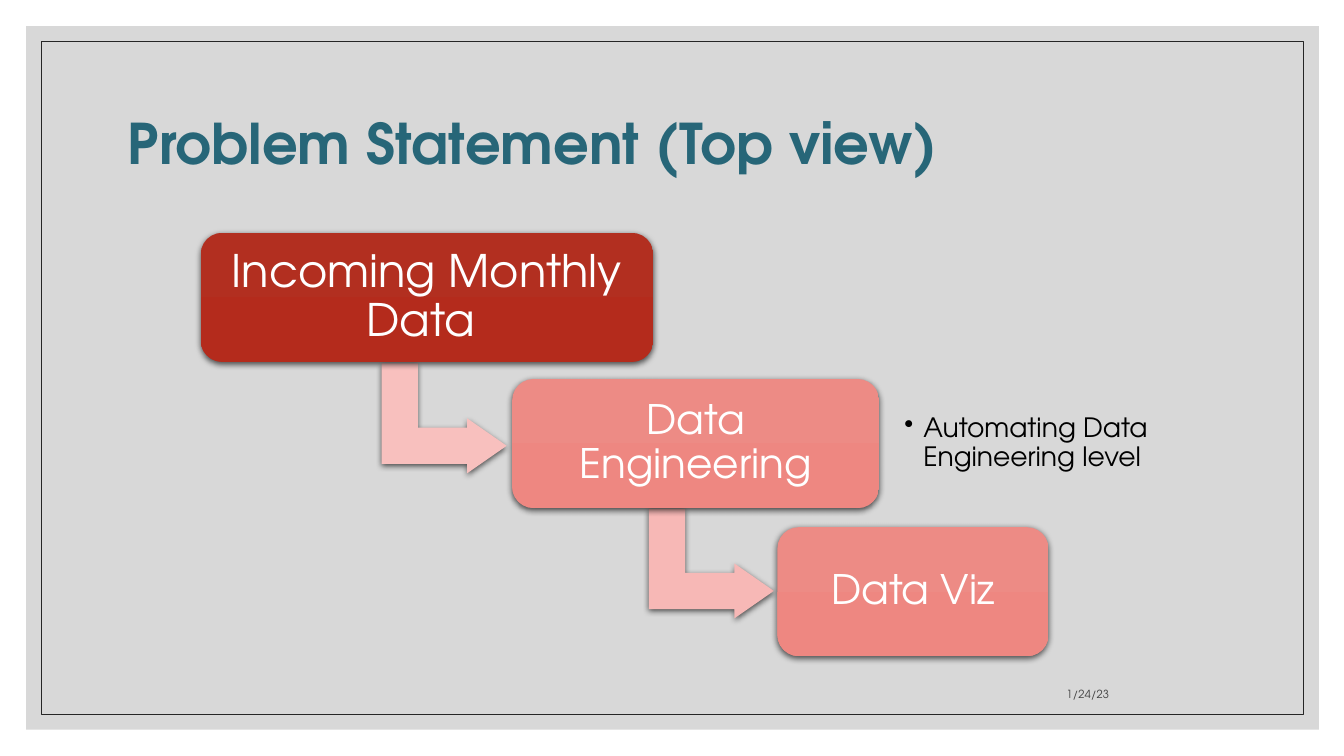
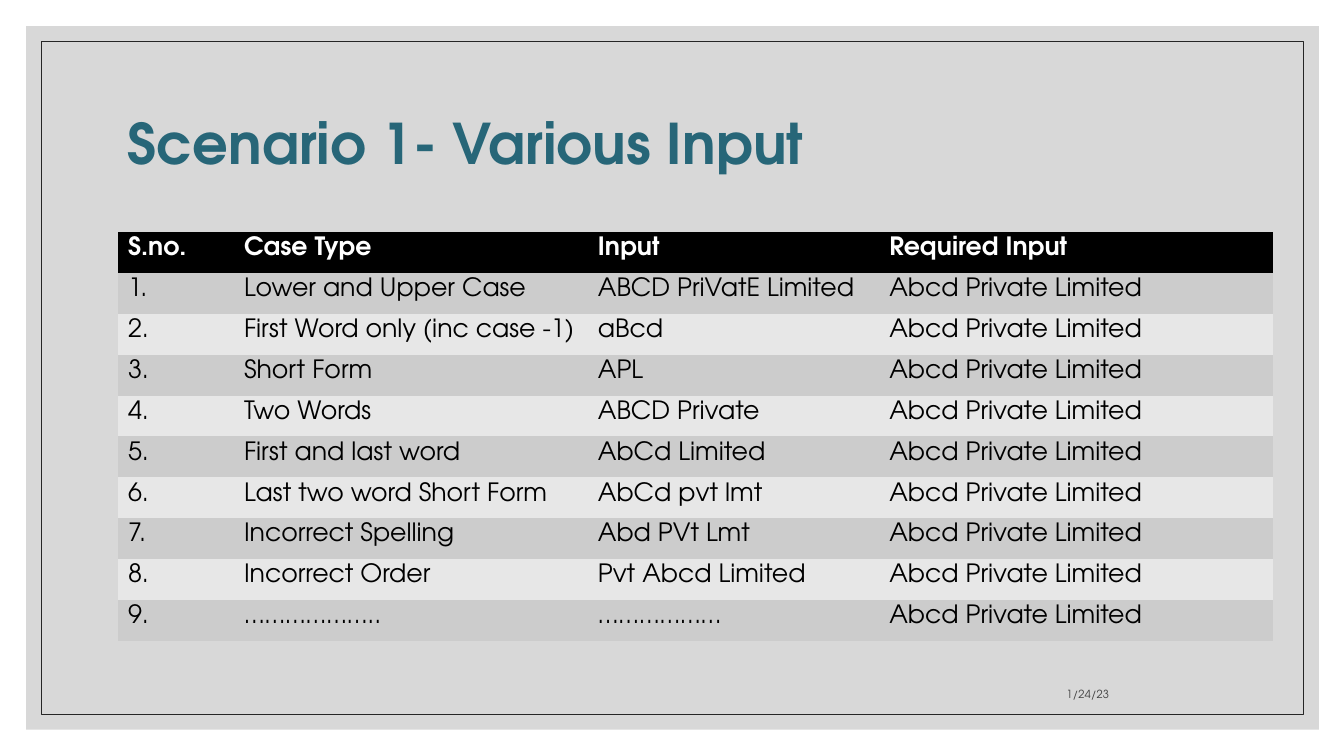
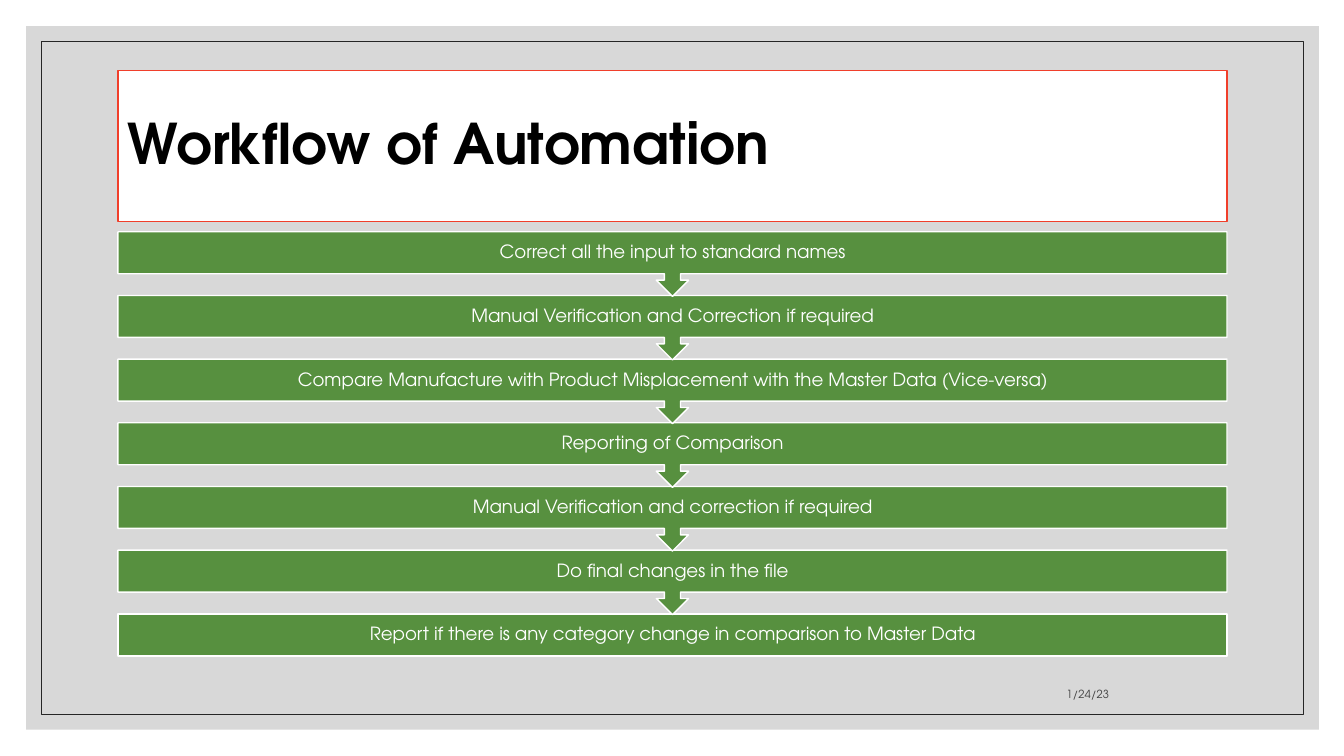
"""Build a three-slide deck about automating the cleaning of monthly data."""
from lxml.etree import SubElement
from pptx import Presentation
from pptx.dml.color import RGBColor
from pptx.enum.shapes import MSO_SHAPE as Shape
from pptx.enum.text import MSO_ANCHOR as Anchor, PP_ALIGN as Align
from pptx.oxml.ns import qn
from pptx.util import Inches, Pt

COLORS = {
    "band": "BFBFBF", "frame": "262626", "title": "276678", "date": "404040",
    "white": "FFFFFF", "black": "000000", "accent": "F03F2B", "step": "57903F",
    "red_top": "B22F20", "red": "B42B1C", "pink_top": "ED8B85", "pink": "EE8781",
    "first_arrow": "F8C0BE", "second_arrow": "F7B8B6",
    "odd_row": "CCCCCC", "even_row": "E7E7E7",
}
FONT = "TeX Gyre Adventor"
PLAIN_TABLE_STYLE = "{2D5ABB26-0587-4C30-8999-92F81FD0307C}"
LEFT, WIDTH, BODY_TOP = 1.17, 11, 2.3
TITLE_BOX = (LEFT, 0.7, WIDTH, 1.5)


def color(name):
    return RGBColor.from_string(COLORS[name])


def apply(target, values):
    for name, value in values.items():
        setattr(target, name, value)


class Deck:
    def __init__(self):
        self.presentation = Presentation()
        apply(self.presentation,
              {"slide_width": Inches(13.33), "slide_height": Inches(7.5)})
        self.slide = None

    def new_slide(self, title, title_color="title", boxed=False):
        layout = self.presentation.slide_layouts[6]
        self.slide = self.presentation.slides.add_slide(layout)
        band = self.shape(Shape.RECTANGLE, (0.26, 0.26, 12.82, 6.98), "band")
        tint = next(band.element.iter(qn("a:srgbClr")))
        SubElement(tint, qn("a:alpha"), val="60000")
        self.shape(Shape.RECTANGLE, (0.41, 0.41, 12.52, 6.68),
                   line="frame", line_width=0.5)
        if boxed:
            heading = self.shape(Shape.RECTANGLE, TITLE_BOX, "white", "accent")
        else:
            heading = self.text_box(TITLE_BOX)
        self.set_text(heading, title, 40, title_color, bold=True)
        date = self.text_box((7.94, 6.6, 3.16, 0.4))
        self.set_text(date, "1/24/23", 8, "date", align=Align.RIGHT,
                      anchor=Anchor.BOTTOM, spacing=1.0)

    def shape(self, kind, box, fill=None, line=None, line_width=1):
        shape = self.slide.shapes.add_shape(kind, *map(Inches, box))
        shape.shadow.inherit = False
        if fill:
            shape.fill.solid()
            shape.fill.fore_color.rgb = color(fill)
        else:
            shape.fill.background()
        if line:
            shape.line.color.rgb = color(line)
            shape.line.width = Pt(line_width)
        else:
            shape.line.fill.background()
        return shape

    def text_box(self, box):
        return self.slide.shapes.add_textbox(*map(Inches, box))

    def set_text(self, shape, text, size, font_color, bold=False, align=Align.LEFT,
                 anchor=Anchor.MIDDLE, spacing=0.9, inset=None):
        frame = shape.text_frame
        apply(frame, {"word_wrap": True, "vertical_anchor": anchor})
        if inset is not None:
            sides = ("left", "top", "right", "bottom")
            apply(frame, {f"margin_{side}": Inches(inset) for side in sides})
        paragraph = frame.paragraphs[0]
        apply(paragraph, {"alignment": align, "line_spacing": spacing})
        self.add_text(paragraph, text, size, font_color, bold)

    def add_text(self, paragraph, text, size, font_color, bold=False):
        run = paragraph.add_run()
        run.text = text
        apply(run.font, {"name": FONT, "size": Pt(size), "bold": bold})
        run.font.color.rgb = color(font_color)

    def soft_shadow(self, shape):
        effects = next(shape.element.iter(qn("a:effectLst")))
        shadow = SubElement(effects, qn("a:outerShdw"), blurRad=str(Pt(4.5)),
                            dist=str(Pt(1.5)), dir="5400000", rotWithShape="0")
        tint = SubElement(shadow, qn("a:srgbClr"), val=COLORS["black"])
        SubElement(tint, qn("a:alpha"), val="63000")

    def stage(self, text, box, size, fill, inset):
        stage = self.shape(Shape.ROUNDED_RECTANGLE, box, fill)
        stage.fill.gradient()
        stage.fill.gradient_angle = 270
        for stop, name in zip(stage.fill.gradient_stops, (f"{fill}_top", fill)):
            stop.color.rgb = color(name)
        self.soft_shadow(stage)
        self.set_text(stage, text, size, "white", align=Align.CENTER, inset=inset)

    def bent_arrow(self, left, top, fill):
        arrow = self.shape(Shape.BENT_UP_ARROW, (left, top, 1.09, 1.24), fill)
        arrow.rotation = 90
        for index, value in enumerate((0.33, 0.25, 0.36)):
            arrow.adjustments[index] = value
        self.soft_shadow(arrow)

    def bullet(self, text, box, size):
        note = self.text_box(box)
        self.set_text(note, text, size, "black", inset=0.1)
        properties = next(note.element.iter(qn("a:pPr")))
        indents = {"marL": Inches(0.19), "indent": Inches(-0.19)}
        for name, value in indents.items():
            properties.set(name, str(int(value)))
        SubElement(properties, qn("a:buChar"), char="•")

    def table(self, rows, widths, height):
        box = (LEFT, BODY_TOP, sum(widths), height)
        holder = self.slide.shapes.add_table(len(rows), len(widths),
                                             *map(Inches, box))
        next(holder.element.iter(qn("a:tableStyleId"))).text = PLAIN_TABLE_STYLE
        table = holder.table
        for column, width in zip(table.columns, widths):
            column.width = Inches(width)
        for number, values in enumerate(rows):
            header = number == 0
            band = "black" if header else ("even_row", "odd_row")[number % 2]
            for cell, text in zip(table.rows[number].cells, values):
                cell.fill.solid()
                cell.fill.fore_color.rgb = color(band)
                self.add_text(cell.text_frame.paragraphs[0], text, 18,
                              "white" if header else "black", header)

    def step(self, text, top, last):
        kind = Shape.RECTANGLE if last else Shape.DOWN_ARROW_CALLOUT
        height = 0.42 if last else 0.64
        step = self.shape(kind, (LEFT, top, WIDTH, height), "step", "white")
        self.set_text(step, text, 13, "white", align=Align.CENTER, inset=0.1)


def problem_slide(deck):
    deck.new_slide("Problem Statement (Top view)")
    deck.bent_arrow(3.86, 3.53, "first_arrow")
    deck.stage("Incoming Monthly Data ", (1.99, 2.31, 4.49, 1.28), 32, "red", 0.13)
    deck.bent_arrow(6.51, 4.97, "second_arrow")
    deck.stage("Data Engineering", (5.08, 3.76, 3.64, 1.28), 29, "pink", 0.12)
    deck.bullet("Automating Data Engineering level", (8.87, 3.88, 2.81, 1.04), 19)
    deck.stage("Data Viz", (7.71, 5.23, 2.69, 1.28), 29, "pink", 0.12)


def scenario_slide(deck):
    cases = [
        ("Lower and Upper Case", "ABCD PriVatE Limited"),
        ("First Word only (inc case -1)", "aBcd"),
        ("Short Form", "APL"),
        ("Two Words", "ABCD Private"),
        ("First and last word", "AbCd Limited"),
        ("Last two word Short Form", "AbCd pvt lmt"),
        ("Incorrect Spelling", "Abd PVt Lmt"),
        ("Incorrect Order", "Pvt Abcd Limited"),
        ("………………..", "………………"),
    ]
    rows = [("S.no.", "Case Type", "Input", "Required Input")]
    rows += [(f"{number}.", *case, "Abcd Private Limited")
             for number, case in enumerate(cases, 1)]
    deck.new_slide("Scenario 1- Various Input")
    deck.table(rows, (1.15, 3.51, 2.89, 3.91), 4.06)


def workflow_slide(deck):
    steps = [
        "Correct all the input to standard names",
        "Manual Verification and Correction if required",
        "Compare Manufacture with Product Misplacement with the Master Data (Vice-versa)",
        "Reporting of Comparison",
        "Manual Verification and correction if required",
        "Do final changes in the file",
        "Report if there is any category change in comparison to Master Data",
    ]
    last = len(steps) - 1
    pitch = (6.09 - BODY_TOP) / last
    deck.new_slide("Workflow of Automation", "black", boxed=True)
    for index, text in reversed(list(enumerate(steps))):
        deck.step(text, BODY_TOP + index * pitch, index == last)


def main():
    deck = Deck()
    for build in (problem_slide, scenario_slide, workflow_slide):
        build(deck)
    deck.presentation.save("out.pptx")


if __name__ == "__main__":
    main()
